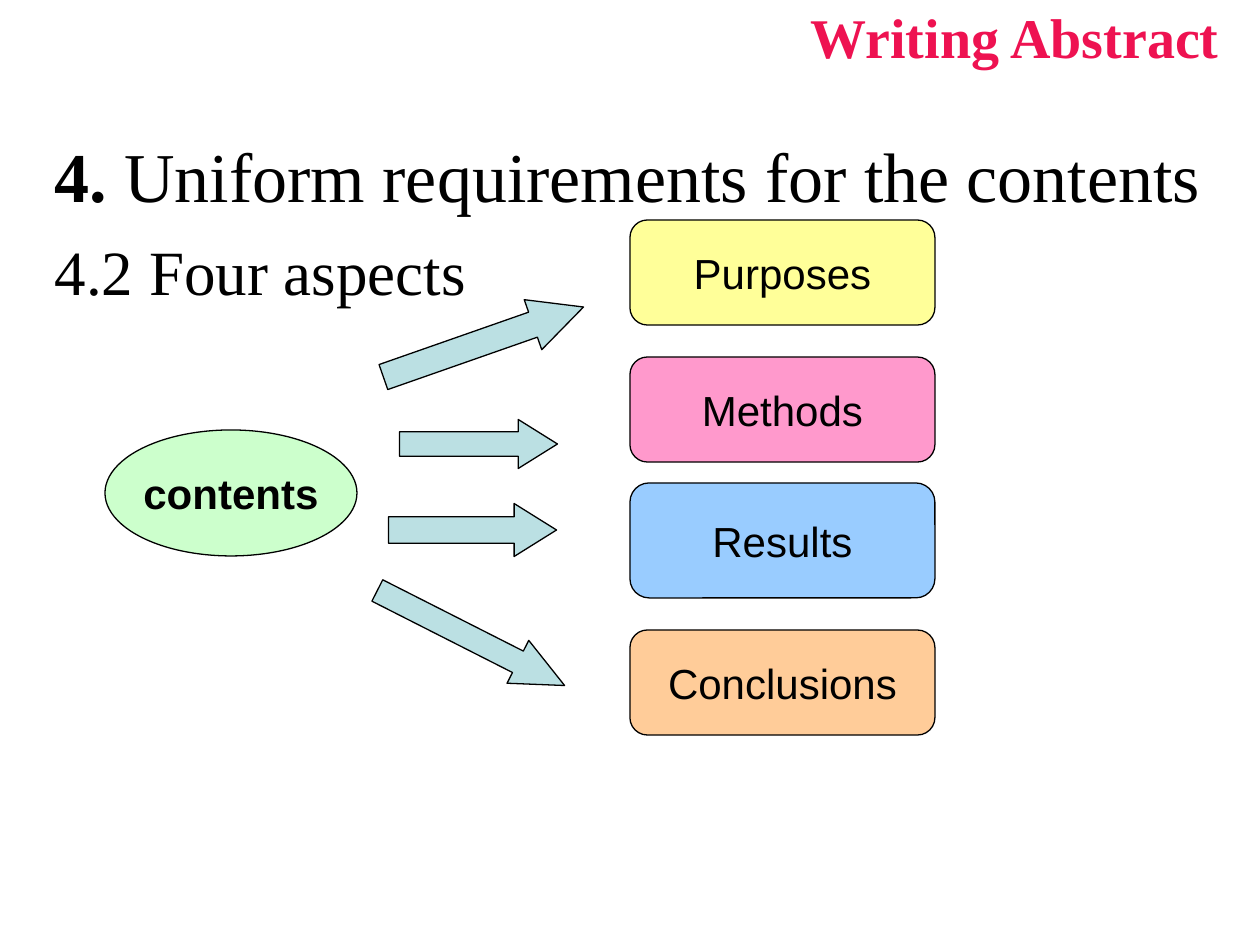
from typing import NamedTuple

from lxml import etree
from pptx import Presentation
from pptx import util as u
from pptx.dml.color import RGBColor
from pptx.enum import shapes, text
from pptx.oxml.ns import qn

PX = 914400 // 126  # EMU in one px
COLORS = {
    "black": "000000", "heading": "EE1251", "arrow": "BBE0E3",
    "green": "CCFFCC", "yellow": "FFFF99", "pink": "FF99CC",
    "blue": "99CCFF", "orange": "FFCC99",
}
SERIF, SANS = "Times New Roman", "Arial"
ASPECT_LEFT, ASPECT_WIDTH = 630, 305


class Aspect(NamedTuple):
    label: str
    color: str
    top: int
    height: int = 105


class Arrow(NamedTuple):
    left: int
    top: int
    width: int
    height: int
    rotation: float
    head: float


ASPECTS = [
    Aspect("Purposes", "yellow", 220),
    Aspect("Methods", "pink", 357),
    Aspect("Results", "blue", 483, 115),
    Aspect("Conclusions", "orange", 630),
]
ARROWS = [
    Arrow(457, 236, 53, 212, 250.7, 1.01),
    Arrow(454, 365, 49, 158, 270, 0.8),
    Arrow(446, 446, 53, 168, 270, 0.8),
    Arrow(447, 533, 48, 210, 296.9, 1.09),
]


def rgb(name: str) -> RGBColor:
    return RGBColor.from_string(COLORS[name])


def place(sp, left: int, top: int, width: int, height: int) -> None:
    sp.left, sp.top, sp.width, sp.height = (
        v * PX for v in (left, top, width, height))


def add_text(p, content: str, *, size: int, font: str = SANS,
             color: str = "black", bold: bool = False, align=None) -> None:
    if align is not None:
        p.alignment = align
    r = p.add_run()
    r.text = content
    r.font.size, r.font.name, r.font.bold = u.Pt(size), font, bold
    r.font.color.rgb = rgb(color)


def add_shape(slide, kind, box: tuple, fill: str):
    sp = slide.shapes.add_shape(kind, *(v * PX for v in box))
    sp.shadow.inherit = False
    sp.fill.solid()
    sp.fill.fore_color.rgb = rgb(fill)
    sp.line.color.rgb = rgb("black")
    sp.line.width = u.Pt(0.75)
    return sp


def add_node(slide, kind, box: tuple, fill: str, label: str,
             bold: bool = False) -> None:
    tf = add_shape(slide, kind, box, fill).text_frame
    tf.word_wrap = False
    tf.vertical_anchor = text.MSO_ANCHOR.MIDDLE
    add_text(tf.paragraphs[0], label, size=24, bold=bold,
             align=text.PP_ALIGN.CENTER)


def add_arrow(slide, arrow: Arrow) -> None:
    sp = add_shape(slide, shapes.MSO_SHAPE.DOWN_ARROW, arrow[:4], "arrow")
    sp.rotation = arrow.rotation
    sp.adjustments[0], sp.adjustments[1] = 0.5, arrow.head


def format_body_line(p, space_before: int) -> None:
    p.space_before = u.Pt(space_before)
    pPr = p._p.get_or_add_pPr()
    pPr.set("marL", str(84 * PX))
    pPr.set("indent", str(-84 * PX))
    etree.SubElement(pPr, qn("a:buNone"))


def main() -> None:
    prs = Presentation()
    prs.slide_width, prs.slide_height = u.Inches(10), u.Inches(7.5)
    slide = prs.slides.add_slide(prs.slide_layouts[1])

    # Body text
    body = slide.placeholders[1]
    place(body, 42, 126, 1176, 746)
    tf = body.text_frame
    tf.auto_size = text.MSO_AUTO_SIZE.NONE
    p = tf.paragraphs[0]
    format_body_line(p, 10)
    add_text(p, "4.", size=40, font=SERIF, bold=True)
    add_text(p, " Uniform requirements for the contents", size=40, font=SERIF)
    p = tf.add_paragraph()
    format_body_line(p, 9)
    add_text(p, "4.2 Four aspects", size=36, font=SERIF)

    # Title in the top right corner
    title = slide.shapes.title
    place(title, 798, 0, 462, 73)
    tf = title.text_frame
    tf.auto_size = text.MSO_AUTO_SIZE.NONE
    tf.vertical_anchor = text.MSO_ANCHOR.MIDDLE
    add_text(tf.paragraphs[0], "Writing Abstract", size=32, font=SERIF,
             color="heading", bold=True, align=text.PP_ALIGN.LEFT)

    # Contents and its four aspects
    add_node(slide, shapes.MSO_SHAPE.OVAL, (105, 430, 252, 126), "green",
             "contents", bold=True)
    for a in ASPECTS:
        add_node(slide, shapes.MSO_SHAPE.FLOWCHART_ALTERNATE_PROCESS,
                 (ASPECT_LEFT, a.top, ASPECT_WIDTH, a.height),
                 a.color, a.label)
    for arrow in ARROWS:
        add_arrow(slide, arrow)

    prs.save("out.pptx")


if __name__ == "__main__":
    main()
